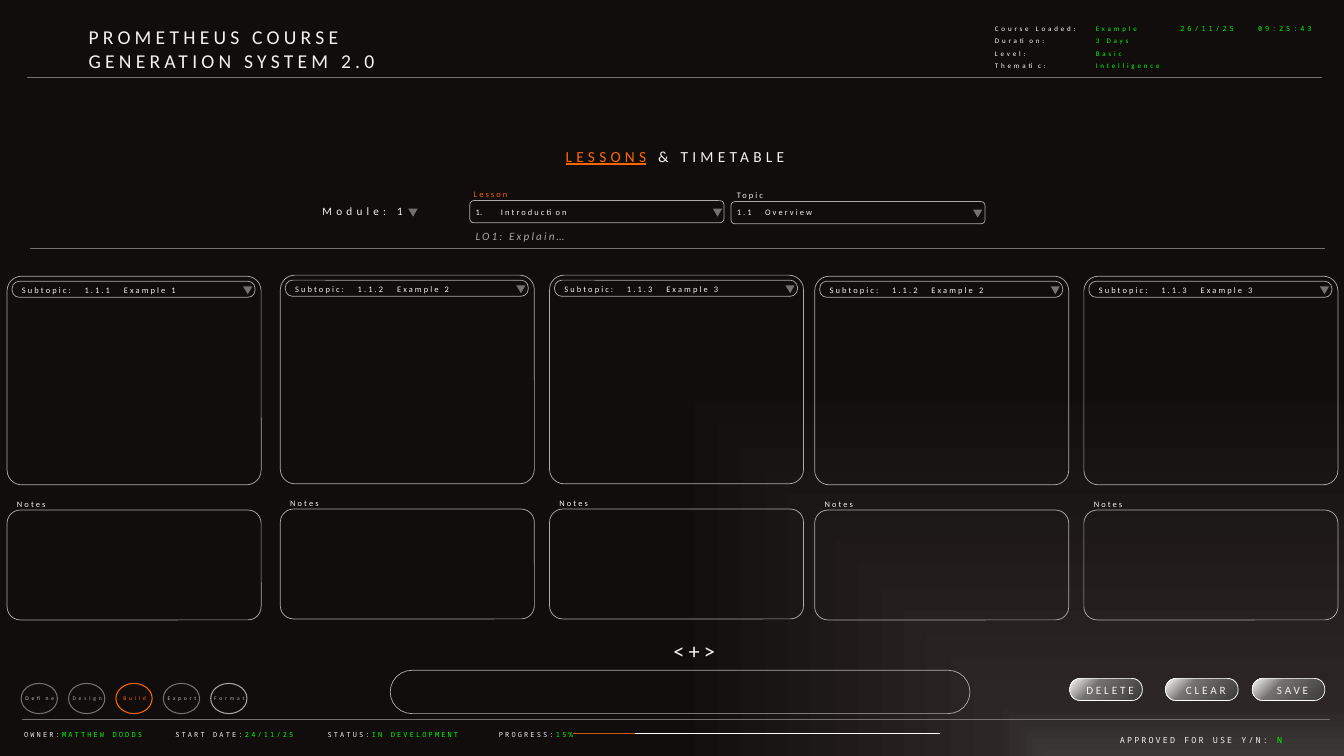
from lxml import etree
from pptx import Presentation
from pptx import util as u
from pptx.dml.color import RGBColor
from pptx.enum import shapes, text
from pptx.oxml.ns import qn

# ---- Content ----
COLOURS = {
    "pale": "F2F2F2", "white": "FFFFFF", "green": "00FF00", "orange": "FF6600",
    "rust": "C55A11", "grey": "767171", "outline": "AFABAB", "silver": "BFBFBF",
    "ash": "A6A6A6", "charcoal": "3B3838", "umber": "2D2626", "black": "110D0D",
}
MONO = "Noto Sans Mono"

COURSE_FACTS = [
    ("Course Loaded:", "Example"), ("Duration:", "3 Days"),
    ("Level:", "Basic"), ("Thematic:", "Intelligence"),
]
FOOTER_FACTS = [
    ("OWNER:", "MATTHEW DODDS"), ("START DATE:", "24/11/25"),
    ("STATUS:", "IN DEVELOPMENT"), ("PROGRESS:", "15%"),
]
# left, top, number, title
SUBTOPICS = [
    (0.07, 2.74, "1.1.1", "Example 1"), (2.78, 2.73, "1.1.2", "Example 2"),
    (5.45, 2.73, "1.1.3", "Example 3"), (8.08, 2.74, "1.1.2", "Example 2"),
    (10.75, 2.74, "1.1.3", "Example 3"),
]
# name, line colour, text colour
STEPS = [
    ("Define", "grey", "silver"), ("Design", "grey", "outline"),
    ("Build", "orange", "orange"), ("Export", "grey", "silver"),
    ("Format", "ash", "ash"),
]
BUTTONS = [("DELETE", 10.61), ("CLEAR", 11.56), ("SAVE", 12.42)]
# x1, x2, y, colour, width
RULES = [
    (0.27, 13.11, 0.77, "grey", 0.75), (0.3, 13.14, 2.47, "grey", 0.75),
    (0.22, 13.19, 7.14, "grey", 0.75),
    (5.69, 9.32, 7.28, "white", 0.5), (5.68, 6.3, 7.28, "rust", 0.5),
]

deck = Presentation()
deck.slide_width, deck.slide_height = u.Inches(13.33), u.Inches(7.5)
page = deck.slides.add_slide(deck.slide_layouts[6])


# ---- Helpers ----
def rgb(name):
    return RGBColor.from_string(COLOURS[name])


def inches(*lengths):
    return [u.Inches(length) for length in lengths]


def set_gradient(fill, element, stops, direction, **focus):
    fill.gradient()
    gradient = element.find(".//" + qn("a:gradFill"))
    for child in list(gradient):
        gradient.remove(child)
    stop_list = etree.SubElement(gradient, qn("a:gsLst"))
    for place, name in stops:
        stop = etree.SubElement(stop_list, qn("a:gs"), pos=str(place * 1000))
        etree.SubElement(stop, qn("a:srgbClr"), val=COLOURS[name])
    shade = etree.SubElement(gradient, qn("a:" + direction[0]), direction[1])
    if focus:
        etree.SubElement(shade, qn("a:fillToRect"), focus)


def add_text(at, paragraphs, size, spacing, font="Calibri", align=None,
             anchor=None, tabs=(), line_spacing=None):
    """Each paragraph is a list of (text, colour, optional font settings)."""
    box = page.shapes.add_textbox(*inches(*at))
    frame_format = {"word_wrap": True, "vertical_anchor": anchor,
                    "auto_size": text.MSO_AUTO_SIZE.SHAPE_TO_FIT_TEXT}
    for key, value in frame_format.items():
        setattr(box.text_frame, key, value)
    for index, runs in enumerate(paragraphs):
        para = box.text_frame.paragraphs[0] if index == 0 else box.text_frame.add_paragraph()
        para.alignment, para.line_spacing = align, line_spacing
        if tabs:
            tab_list = etree.SubElement(para._p.get_or_add_pPr(), qn("a:tabLst"))
            for stop in tabs:
                etree.SubElement(tab_list, qn("a:tab"), pos=str(u.Inches(stop)), algn="l")
        for words, colour, *extra in runs:
            span = para.add_run()
            span.text = words
            settings = {"size": u.Pt(size), "name": font, **(extra[0] if extra else {})}
            for key, value in settings.items():
                setattr(span.font, key, value)
            span.font.color.rgb = rgb(colour)
            span._r.get_or_add_rPr().set("spc", str(int(spacing * 100)))
    return box


def add_outline(kind, at, line=None, width=0.5, corner=None):
    shape = page.shapes.add_shape(kind, *inches(*at))
    shape.shadow.inherit = False
    shape.fill.background()
    if corner is not None:
        shape.adjustments[0] = corner
    if line:
        shape.line.color.rgb = rgb(line)
        shape.line.width = u.Pt(width)
    else:
        shape.line.fill.background()
    return shape


def add_panel(at, corner):
    return add_outline(shapes.MSO_SHAPE.ROUNDED_RECTANGLE, at, "outline", 0.5, corner)


def add_dropdown_mark(left, top):
    mark = add_outline(shapes.MSO_SHAPE.ISOSCELES_TRIANGLE, (left, top, 0.09, 0.08))
    mark.fill.solid()
    mark.fill.fore_color.rgb = rgb("grey")
    mark.rotation = 299.6


def add_label(at, words, colour="pale", tabs=()):
    return add_text(at, [[(words, colour)]], 6, 1.5, tabs=tabs)


# ---- Background ----
set_gradient(page.background.fill, page._element,
             [(0, "charcoal"), (14, "umber"), (100, "black")],
             ("path", {"path": "rect"}), l="100000", t="100000")

# ---- Rules and progress line ----
for start, end, height, colour, width in RULES:
    rule = page.shapes.add_connector(shapes.MSO_CONNECTOR.STRAIGHT,
                                     *inches(start, height, end, height))
    rule.line.color.rgb = rgb(colour)
    rule.line.width = u.Pt(width)
    etree.SubElement(rule._element.spPr, qn("a:effectLst"))

# ---- Header ----
CENTRE, MIDDLE = text.PP_ALIGN.CENTER, text.MSO_ANCHOR.MIDDLE
add_text((0.78, 0.2, 3.53, 0.57),
         [[("PROMETHEUS COURSE GENERATION SYSTEM 2.0", "pale")]], 14, 3)
add_text((11.61, 0.19, 1.51, 0.19), [[("26/11/25\t09:25:43", "green")]], 5, 2,
         font=MONO, tabs=[0.77])
add_text((9.77, 0.15, 2.47, 0.59),
         [[(name + "\t", "white"), (value, "green")] for name, value in COURSE_FACTS],
         5, 2, tabs=[1], line_spacing=1.5)
add_text((5.23, 1.41, 2.93, 0.29),
         [[("LESSONS", "orange", {"underline": True}), (" & TIMETABLE", "pale")]],
         11, 3, align=CENTRE)

# ---- Module, lesson and topic pickers ----
add_text((3.1, 1.98, 1.42, 0.24), [[("Module: 1", "pale")]], 8, 3)
add_label((4.6, 1.83, 2.2, 0.21), "Lesson", "orange")
add_label((7.21, 1.84, 2.2, 0.21), "Topic")
lesson = add_label((4.62, 2.01, 1.21, 0.2), "Introduction")
lesson_format = lesson.text_frame.paragraphs[0]._p.get_or_add_pPr()
for key, value in {"marL": 0.25, "indent": -0.25}.items():
    lesson_format.set(key, str(u.Inches(value)))
etree.SubElement(lesson_format, qn("a:buAutoNum"), type="arabicPeriod")
add_label((7.21, 2.01, 1.57, 0.2), "1.1\tOverview", tabs=[0.28])
for left, top in [(4.66, 1.99), (7.25, 2)]:
    add_panel((left, top, 2.52, 0.22), 0.18)
for left, top in [(4.04, 2.05), (7.06, 2.05), (9.64, 2.06)]:
    add_dropdown_mark(left, top)
add_text((4.62, 2.23, 2.67, 0.24), [[("LO1: Explain…", "ash", {"italic": True})]], 8, 1.5)

# ---- Subtopic columns ----
for left, top, number, title in SUBTOPICS:
    add_label((left + 0.67, top + 0.04, 1.14, 0.2), f"{number}\t{title}", tabs=[0.39])
    add_label((left + 0.05, top + 0.04, 0.74, 0.2), "Subtopic:")
    add_label((left, top + 2.16, 2.2, 0.2), "Notes")
    add_panel((left, top, 2.52, 2.07), 0.07)
    add_panel((left, top + 2.32, 2.52, 1.09), 0.12)
    add_panel((left + 0.05, top + 0.05, 2.41, 0.16), 0.45)
    add_dropdown_mark(left + 2.33, top + 0.08)

# ---- Step circles ----
for index, (name, line, colour) in enumerate(STEPS):
    left = 0.21 + 0.47 * index
    add_outline(shapes.MSO_SHAPE.OVAL, (left, 6.78, 0.36, 0.3), line, 0.75)
    add_text((left - 0.2, 6.84, 0.77, 0.17), [[(name, colour)]], 4, 2, align=CENTRE)

# ---- Entry bar and buttons ----
add_text((5.42, 6.27, 2.93, 0.37), [[("<+>", "pale")]], 16, 3, align=CENTRE)
add_panel((3.87, 6.65, 5.75, 0.43), 0.5)
for name, left in BUTTONS:
    button = add_outline(shapes.MSO_SHAPE.ROUNDED_RECTANGLE, (left, 6.73, 0.72, 0.22),
                         "white", 0.5, 0.48)
    set_gradient(button.fill, button._element,
                 [(0, "white"), (35, "grey"), (100, "charcoal")],
                 ("lin", {"ang": "2700000", "scaled": "1"}))
    add_text((left + 0.04, 6.73, 0.72, 0.18), [[(name, "pale")]], 8, 2, align=CENTRE)

# ---- Footer ----
footer = []
for index, (name, value) in enumerate(FOOTER_FACTS):
    footer += [("\t" * (index > 0) + name, "pale"), (value, "green")]
add_text((0.14, 7.19, 8.28, 0.19), [footer], 5, 1.5, font=MONO, anchor=MIDDLE,
         tabs=[1.5, 3.01, 4.71])
add_text((11.01, 7.24, 2.39, 0.2), [[("APPROVED FOR USE Y/N: ", "pale"), ("N", "green")]],
         6, 1.5, font=MONO, anchor=MIDDLE)

deck.save("out.pptx")
